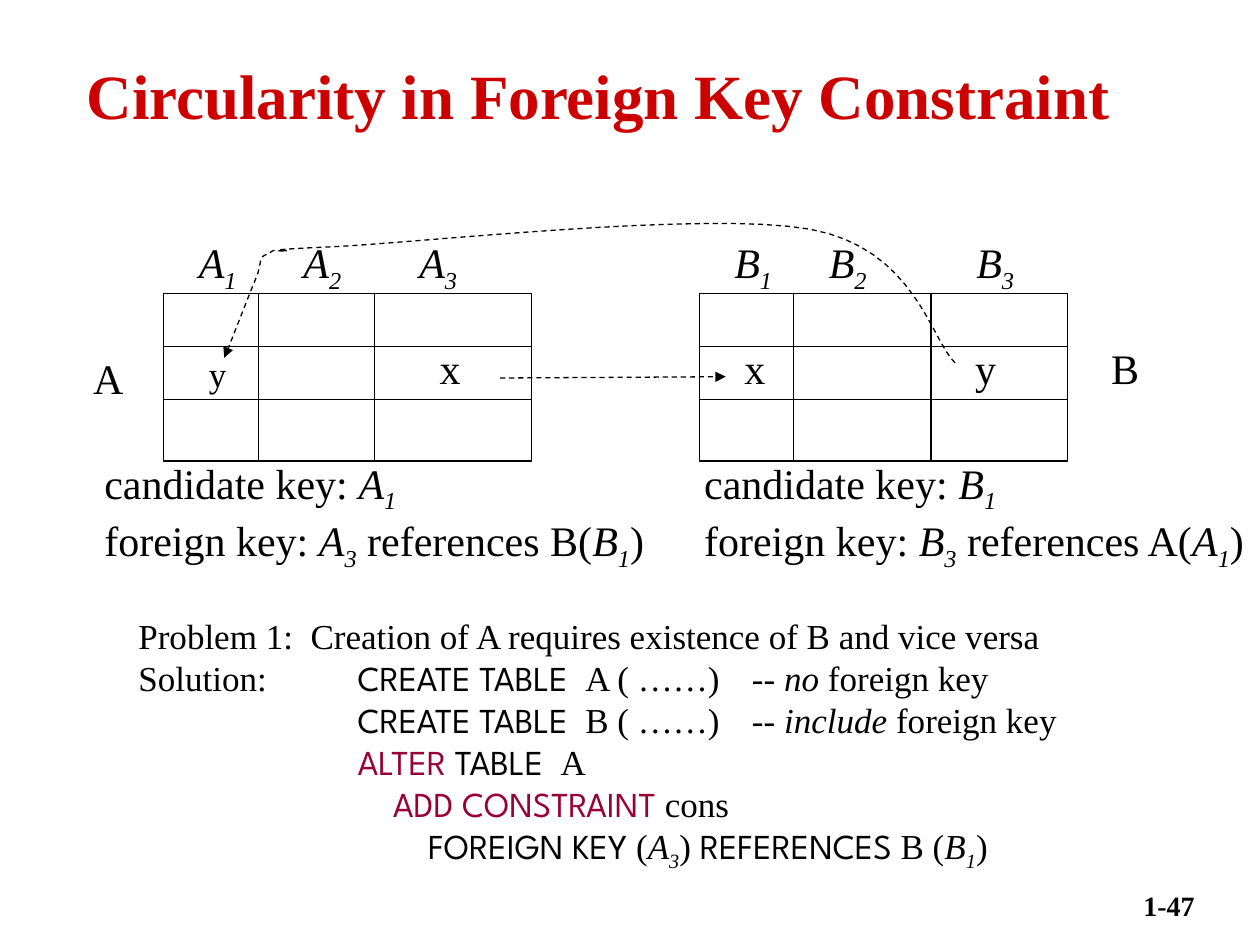
"""Build the slide on circular foreign key constraints."""
from dataclasses import dataclass
from typing import NamedTuple

from lxml.etree import SubElement
from pptx import Presentation
from pptx.dml.color import RGBColor
from pptx.enum.dml import MSO_LINE
from pptx.enum.shapes import MSO_CONNECTOR, MSO_SHAPE
from pptx.enum.text import MSO_ANCHOR, MSO_AUTO_SIZE, PP_ALIGN
from pptx.oxml.ns import qn
from pptx.util import Inches, Pt


@dataclass(frozen=True)
class Theme:
    serif: str = "Times New Roman"
    sans: str = "League Spartan"
    black: RGBColor = RGBColor(0, 0, 0)
    white: RGBColor = RGBColor(255, 255, 255)
    red: RGBColor = RGBColor(0xCC, 0, 0)
    wine: RGBColor = RGBColor(0x99, 0, 0x33)
    title: int = 36
    body: int = 24
    code: int = 20
    page: int = 16
    rule: float = 0.75


THEME = Theme()


class Span(NamedTuple):
    text: str
    italic: bool = False
    sub: bool = False
    bold: bool = False
    font: str = THEME.serif
    color: RGBColor = THEME.black


class Line(NamedTuple):
    spans: list[Span]
    indent: float = 0
    tabs: tuple[float, ...] = ()


class Grid(NamedTuple):
    name: str
    other: str
    left: float
    splits: tuple[float, float]
    heads: tuple[float, float, float]
    tag: tuple[float, float, float]
    keys: tuple[float, float]


GRIDS = [
    Grid("A", "B", 1.3, (2.05, 2.97), (1.48, 2.31, 3.23), (0.64, 2.75, 0.44), (0.73, 4.6)),
    Grid("B", "A", 5.55, (6.3, 7.39), (5.73, 6.48, 7.65), (8.72, 2.67, 0.42), (5.49, 4.51)),
]
TOP, WIDE, HIGH, ROWS = 2.33, 2.92, 1.33, (2.75, 3.17)
CODE, STEP, NOTE = 1.74, 0.28, 4.87
CURVE = [
    (7.58, 2.88),
    (7.39, 2.7), (7.26, 1.97), (6.43, 1.82),
    (5.6, 1.67), (3.31, 1.93), (2.62, 1.96),
    (1.93, 1.99), (2.35, 1.99), (2.27, 1.99),
    (2.19, 2), (2.18, 1.97), (2.14, 2.01),
    (2.04, 2.05), (2.09, 2.04), (2.04, 2.19),
    (1.98, 2.33), (1.84, 2.7), (1.78, 2.84),
]


def field(name: str, num: int) -> list[Span]:
    return [Span(name, italic=True), Span(str(num), italic=True, sub=True)]


def word(text: str, color: RGBColor = THEME.black) -> Span:
    return Span(text, font=THEME.sans, color=color)


def write(slide, box: tuple, lines: list[Line], size: int, wrap: bool = False, grow: bool = True):
    frame = slide.shapes.add_textbox(*map(Inches, box)).text_frame
    frame.word_wrap = wrap
    frame.auto_size = MSO_AUTO_SIZE.SHAPE_TO_FIT_TEXT if grow else MSO_AUTO_SIZE.NONE
    for i, line in enumerate(lines):
        para = frame.add_paragraph() if i else frame.paragraphs[0]
        props = para._p.get_or_add_pPr()
        if line.indent:
            props.set("marL", str(Inches(line.indent)))
            props.set("indent", "0")
        if line.tabs:
            stops = SubElement(props, qn("a:tabLst"))
            for pos in line.tabs:
                SubElement(stops, qn("a:tab"), pos=str(Inches(pos)), algn="l")
        for span in line.spans:
            run = para.add_run()
            run.text = span.text
            font = run.font
            font.name, font.size = span.font, Pt(size)
            font.bold, font.italic = span.bold, span.italic
            font.color.rgb = span.color
            if span.sub:
                run._r.get_or_add_rPr().set("baseline", "-25000")
    return frame


def ink(shape, arrow: bool = False) -> None:
    shape.line.color.rgb = THEME.black
    shape.line.width = Pt(THEME.rule)
    props = shape.element.spPr
    if arrow:
        shape.line.dash_style = MSO_LINE.DASH
        SubElement(props.find(qn("a:ln")), qn("a:tailEnd"), type="triangle")
    if props.find(qn("a:effectLst")) is None:
        SubElement(props, qn("a:effectLst"))


def rule(slide, start: tuple, end: tuple, arrow: bool = False) -> None:
    ends = map(Inches, (*start, *end))
    ink(slide.shapes.add_connector(MSO_CONNECTOR.STRAIGHT, *ends), arrow)


def trace(knots: list[tuple], steps: int = 16) -> list[tuple]:
    points = [knots[0]]
    for i in range(0, len(knots) - 1, 3):
        for k in range(1, steps + 1):
            t = k / steps
            mix = ((1 - t) ** 3, 3 * t * (1 - t) ** 2, 3 * t * t * (1 - t), t**3)
            points.append(tuple(sum(m * p[a] for m, p in zip(mix, knots[i:i + 4])) for a in (0, 1)))
    return points


def sweep(slide, knots: list[tuple]) -> None:
    first, *rest = [(Inches(x), Inches(y)) for x, y in trace(knots)]
    pen = slide.shapes.build_freeform(*first)
    pen.add_line_segments(rest, close=False)
    shape = pen.convert_to_shape()
    shape.fill.background()
    shape.shadow.inherit = False
    ink(shape, arrow=True)


def draw(slide, grid: Grid) -> None:
    frame = slide.shapes.add_shape(MSO_SHAPE.RECTANGLE, *map(Inches, (grid.left, TOP, WIDE, HIGH)))
    frame.fill.solid()
    frame.fill.fore_color.rgb = THEME.white
    frame.shadow.inherit = False
    ink(frame)
    for y in ROWS:
        rule(slide, (grid.left, y), (grid.left + WIDE, y))
    for x in grid.splits:
        rule(slide, (x, TOP), (x, TOP + HIGH))
    for num, x in enumerate(grid.heads, 1):
        write(slide, (x, 1.83, 0.5, 0.56), [Line(field(grid.name, num))], THEME.body)
    left, top, wide = grid.tag
    write(slide, (left, top, wide, 0.5), [Line([Span(grid.name)])], THEME.body)
    left, wide = grid.keys
    write(slide, (left, 3.58, wide, 1.01), [
        Line([Span("candidate key: "), *field(grid.name, 1)]),
        Line([Span("foreign key: "), *field(grid.name, 3), Span(f" references {grid.other}("),
              *field(grid.other, 1), Span(")")]),
    ], THEME.body, wrap=True)


def create(label: str, name: str, verb: str) -> Line:
    return Line([Span(f"{label}\t"), word("CREATE TABLE  "), Span(f"{name} ( ……)\t-- "),
                 Span(verb, italic=True), Span(" foreign key")], tabs=(CODE, NOTE))


def main() -> None:
    deck = Presentation()
    deck.slide_width, deck.slide_height = Inches(10), Inches(7.5)
    slide = deck.slides.add_slide(deck.slide_layouts[6])
    page = write(slide, (8.62, 7, 0.96, 0.5), [Line([Span("1-47", bold=True)])],
                 THEME.page, wrap=True, grow=False)
    page.paragraphs[0].alignment = PP_ALIGN.RIGHT
    title = Span("Circularity in Foreign Key Constraint", bold=True, color=THEME.red)
    head = write(slide, (0.59, 0.53, 8.91, 0.43), [Line([title])], THEME.title, wrap=True, grow=False)
    head.vertical_anchor = MSO_ANCHOR.MIDDLE
    for grid in GRIDS:
        draw(slide, grid)
    write(slide, (1.56, 2.75, 0.34, 0.44), [Line([Span("y")])], THEME.code)
    for text, x in (("x", 3.39), ("x", 5.81), ("y", 7.64)):
        write(slide, (x, 2.67, 0.36, 0.5), [Line([Span(text)])], THEME.body)
    write(slide, (1, 4.83, 8.43, 2.15), [
        Line([Span("Problem 1:  Creation of A requires existence of B and vice versa")]),
        create("Solution:", "A", "no"),
        create("", "B", "include"),
        Line([word("ALTER", THEME.wine), word(" TABLE  "), Span("A")], CODE),
        Line([word("ADD CONSTRAINT", THEME.wine), Span(" cons")], CODE + STEP),
        Line([word("FOREIGN KEY"), Span(" ("), *field("A", 3), Span(") "), word("REFERENCES "),
              Span("B ("), *field("B", 1), Span(")")], CODE + 2 * STEP),
    ], THEME.code, wrap=True)
    rule(slide, (3.97, 3), (5.76, 2.99), arrow=True)
    sweep(slide, CURVE)
    deck.save("out.pptx")


if __name__ == "__main__":
    main()
